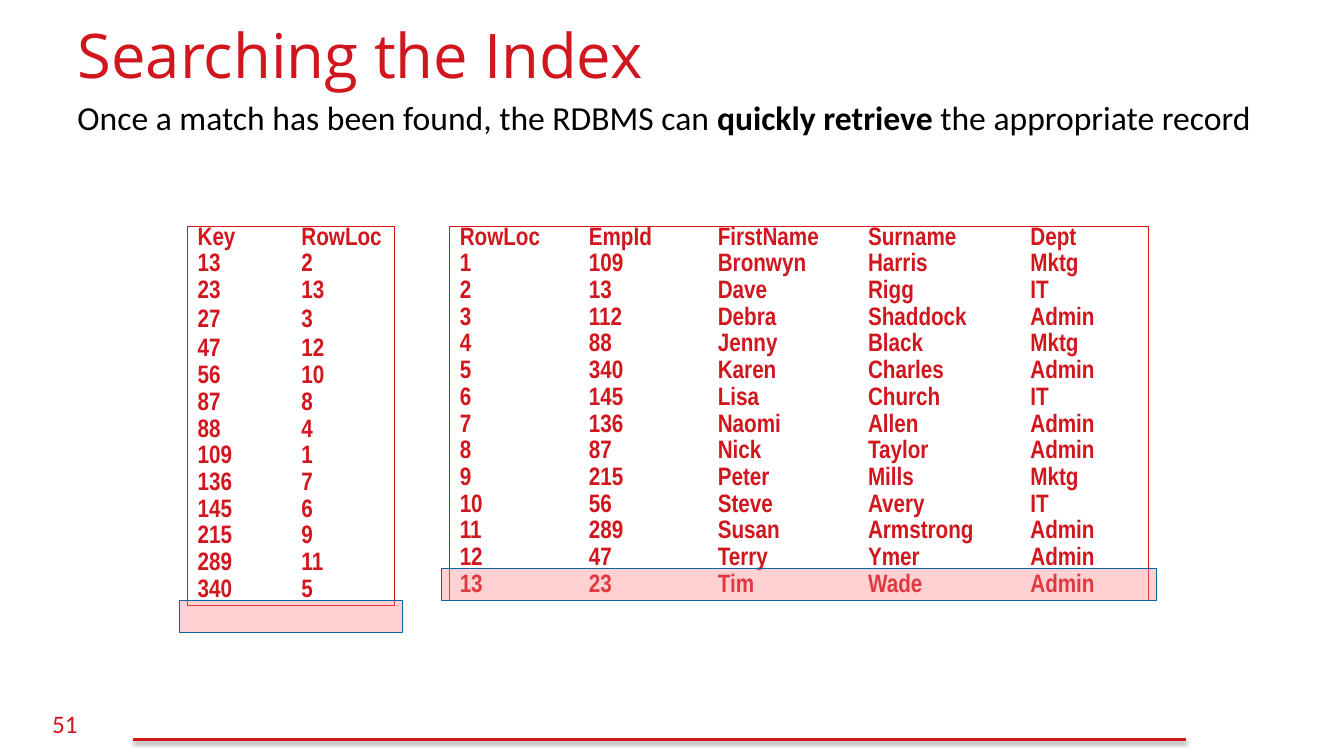
from lxml import etree
from pptx import Presentation
from pptx.dml.color import RGBColor
from pptx.enum.shapes import MSO_CONNECTOR, MSO_SHAPE
from pptx.enum.text import MSO_ANCHOR
from pptx.oxml.ns import qn
from pptx.util import Inches, Pt

RECTANGLE = MSO_SHAPE.RECTANGLE
STRAIGHT = MSO_CONNECTOR.STRAIGHT
BOTTOM = MSO_ANCHOR.BOTTOM
RED = RGBColor(0xD1, 0x16, 0x1E)
PINK = RGBColor(0xFF, 0x7C, 0x80)
BLUE = RGBColor(0x0C, 0x64, 0xA7)
BLACK = RGBColor(0, 0, 0)
NO_STYLE = "{2D5ABB26-0587-4C30-8999-92F81FD0307C}"

# Content
TITLE = "Searching the Index"
PAGE_NUMBER = "51"
STATEMENT = [("Once a match has been found, the RDBMS can ", False),
             ("quickly retrieve", True),
             (" the appropriate record", False)]
INDEX = [
    ("Key", "RowLoc"), ("13", "2"), ("23", "13"), ("27", "3"), ("47", "12"),
    ("56", "10"), ("87", "8"), ("88", "4"), ("109", "1"), ("136", "7"),
    ("145", "6"), ("215", "9"), ("289", "11"), ("340", "5"),
]
EMPLOYEES = [
    ("RowLoc", "EmpId", "FirstName", "Surname", "Dept"),
    ("1", "109", "Bronwyn", "Harris", "Mktg"),
    ("2", "13", "Dave", "Rigg", "IT"),
    ("3", "112", "Debra", "Shaddock", "Admin"),
    ("4", "88", "Jenny", "Black", "Mktg"),
    ("5", "340", "Karen", "Charles", "Admin"),
    ("6", "145", "Lisa", "Church", "IT"),
    ("7", "136", "Naomi", "Allen", "Admin"),
    ("8", "87", "Nick", "Taylor", "Admin"),
    ("9", "215", "Peter", "Mills", "Mktg"),
    ("10", "56", "Steve", "Avery", "IT"),
    ("11", "289", "Susan", "Armstrong", "Admin"),
    ("12", "47", "Terry", "Ymer", "Admin"),
    ("13", "23", "Tim", "Wade", "Admin"),
]
TABLE_TOP = 2.25
ROW_HEIGHT = 3.71 / len(EMPLOYEES)
TALL_ROWS = {3: 0.29, 4: 0.29}
# Rows, left edge, column widths, row heights that differ
TABLES = [
    (EMPLOYEES, 4.46, (1.28, 1.28, 1.49, 1.61, 1.27), {}),
    (INDEX, 1.86, (1.03, 1.02), TALL_ROWS),
]
HIGHLIGHTS = [(1.78, 5.96, 2.21, 0.32), (4.38, 5.64, 7.09, 0.32)]

prs = Presentation()
prs.slide_width, prs.slide_height = Inches(13.33), Inches(7.5)
slide = prs.slides.add_slide(prs.slide_layouts[6])
shapes = slide.shapes


def add_text(box, runs, font_name, size, color, wrap=True):
    frame = shapes.add_textbox(*map(Inches, box)).text_frame
    frame.word_wrap = wrap
    paragraph = frame.paragraphs[0]
    paragraph.font.name = font_name
    paragraph.font.size = Pt(size)
    paragraph.font.color.rgb = color
    for text, bold in runs:
        run = paragraph.add_run()
        run.text = text
        if bold:
            run.font.bold = True


def add_border(cell, side):
    line = etree.SubElement(cell._tc.get_or_add_tcPr(), qn(f"a:ln{side}"), w=str(Pt(1)))
    fill = etree.SubElement(line, qn("a:solidFill"))
    etree.SubElement(fill, qn("a:srgbClr"), val=str(RED))


def add_outlined_table(rows, left, widths, tall_rows):
    heights = [tall_rows.get(r, ROW_HEIGHT) for r in range(len(rows))]
    table = shapes.add_table(len(rows), len(widths), Inches(left), Inches(TABLE_TOP),
                             Inches(sum(widths)), Inches(sum(heights))).table
    table._tbl.tblPr.find(qn("a:tableStyleId")).text = NO_STYLE
    table.first_row = table.horz_banding = False
    for column, width in zip(table.columns, widths):
        column.width = Inches(width)
    for r, values in enumerate(rows):
        table.rows[r].height = Inches(heights[r])
        for c, value in enumerate(values):
            cell = table.cell(r, c)
            cell.text = value
            cell.vertical_anchor = BOTTOM
            cell.margin_top = 0
            cell.margin_bottom = Inches(0.05)
            paragraph = cell.text_frame.paragraphs[0]
            paragraph.line_spacing = 0.7
            paragraph.font.name = "Arial Narrow"
            paragraph.font.size = Pt(18)
            paragraph.font.bold = True
            paragraph.font.color.rgb = RED
            # Only the outer edge of the table is ruled
            edges = [("L", c == 0), ("R", c == len(widths) - 1),
                     ("T", r == 0), ("B", r == len(rows) - 1)]
            for side, outer in edges:
                if outer:
                    add_border(cell, side)
            cell.fill.background()


# Footer rule with its soft shadow, and page number
rule = shapes.add_connector(STRAIGHT, Inches(1.32), Inches(7.34), Inches(11.76), Inches(7.34))
rule.line.color.rgb = RED
rule.line.width = Pt(2)
effects = etree.SubElement(rule._element.spPr, qn("a:effectLst"))
shadow = etree.SubElement(effects, qn("a:outerShdw"), blurRad=str(Pt(3.1)),
                          dist=str(Pt(1.6)), dir="5400000", rotWithShape="0")
shade = etree.SubElement(shadow, qn("a:srgbClr"), val=str(BLACK))
etree.SubElement(shade, qn("a:alpha"), val="38000")
add_text((0.42, 6.98, 0.5, 0.4), [(PAGE_NUMBER, False)], "Calibri", 18, RED, wrap=False)

# Title
add_text((0.67, 0.12, 12, 1.16), [(TITLE, False)], "Open Sans", 44, RED)

# Employee table and its index
for table_content in TABLES:
    add_outlined_table(*table_content)

# Statement
add_text((0.67, 0.91, 12, 5.72), STATEMENT, "Calibri", 24, BLACK)

# Highlight bars
for box in HIGHLIGHTS:
    bar = shapes.add_shape(RECTANGLE, *map(Inches, box))
    bar.shadow.inherit = False
    bar.fill.solid()
    bar.fill.fore_color.rgb = PINK
    tint = bar._element.spPr.find(qn("a:solidFill")).find(qn("a:srgbClr"))
    etree.SubElement(tint, qn("a:alpha"), val="35000")
    bar.line.color.rgb = BLUE
    bar.line.width = Pt(0.75)

prs.save("out.pptx")
